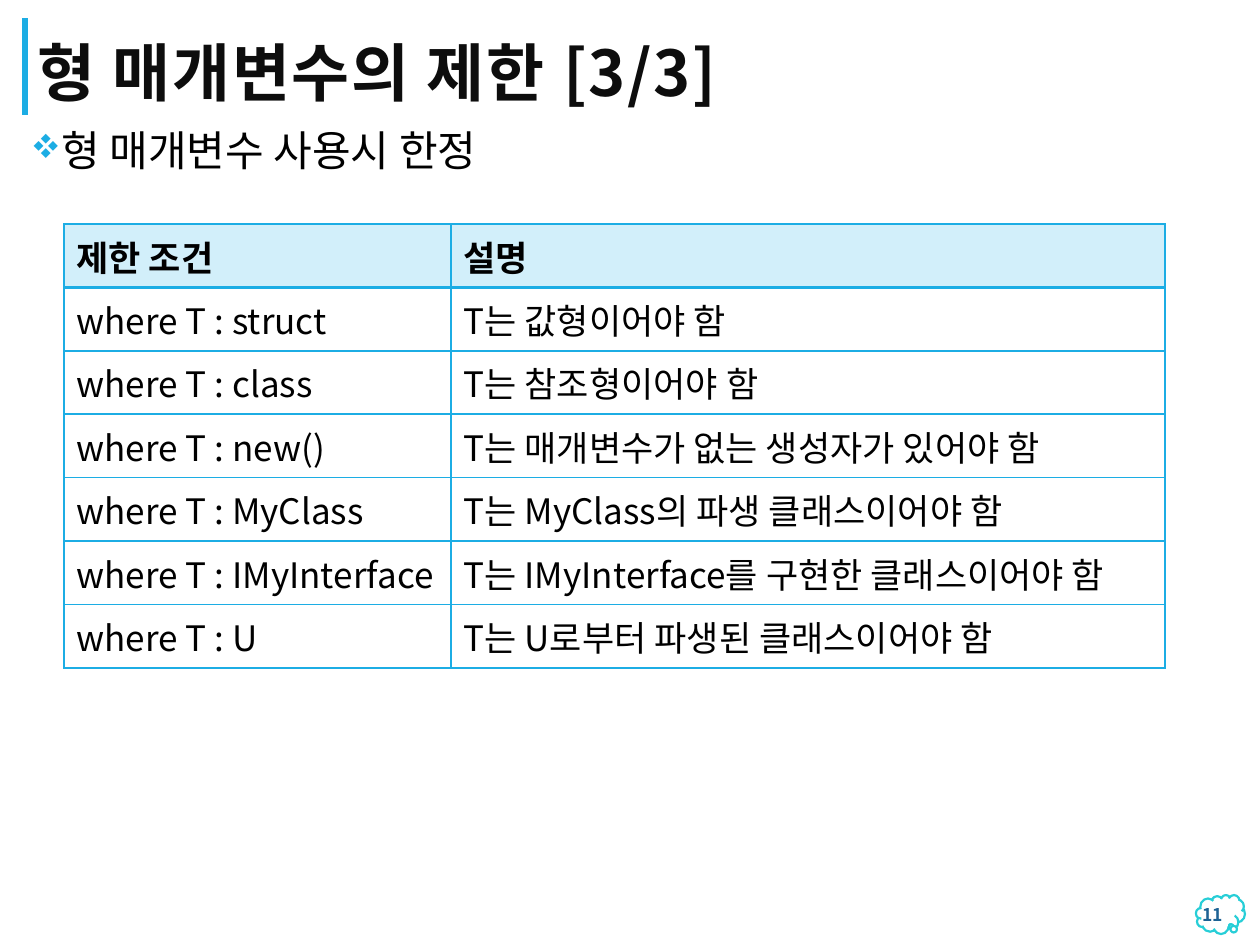
from lxml import etree
from pptx import Presentation
from pptx.dml.color import RGBColor
from pptx.enum.shapes import MSO_CONNECTOR, MSO_SHAPE
from pptx.enum.text import MSO_ANCHOR, PP_ALIGN
from pptx.oxml.ns import qn
from pptx.util import Emu, Pt

STRAIGHT = MSO_CONNECTOR.STRAIGHT
CLOUD = MSO_SHAPE.CLOUD_CALLOUT
TOP, MIDDLE, BOTTOM = MSO_ANCHOR.TOP, MSO_ANCHOR.MIDDLE, MSO_ANCHOR.BOTTOM
RIGHT = PP_ALIGN.RIGHT

FONT = "Noto Sans CJK KR"
BULLET_FONT = "Wingdings"
BLACK = RGBColor(0x00, 0x00, 0x00)
WHITE = RGBColor(0xFF, 0xFF, 0xFF)
TITLE_COLOR = RGBColor(0x0D, 0x0D, 0x0D)
ACCENT = RGBColor(0x1C, 0xAD, 0xE4)
HEADER_FILL = RGBColor(0xD2, 0xEF, 0xFA)
CLOUD_COLOR = RGBColor(0x27, 0xCE, 0xD7)
NUMBER_COLOR = RGBColor(0x1D, 0x62, 0x94)

ROWS = [
    ("제한 조건", "설명"),
    ("where T : struct", "T는 값형이어야 함"),
    ("where T : class", "T는 참조형이어야 함"),
    ("where T : new()", "T는 매개변수가 없는 생성자가 있어야 함"),
    ("where T : MyClass", "T는 MyClass의 파생 클래스이어야 함"),
    ("where T : IMyInterface", "T는 IMyInterface를 구현한 클래스이어야 함"),
    ("where T : U", "T는 U로부터 파생된 클래스이어야 함"),
]
COLUMN_WIDTHS = (387, 714)
TABLE_HEIGHT = 444


def px(value):
    return Emu(round(value * 914400 / 126))


def add_run(paragraph, text, size, color, bold=False):
    run = paragraph.add_run()
    run.text = text
    font = run.font
    font.name, font.size, font.bold = FONT, Pt(size), bold
    font.color.rgb = color
    return run


def add_text_box(slide, left, top, width, height, anchor):
    box = slide.shapes.add_textbox(px(left), px(top), px(width), px(height))
    frame = box.text_frame
    frame.word_wrap = True
    frame.vertical_anchor = anchor
    return frame


def add_title(slide):
    paragraph = add_text_box(slide, 25, 18, 1004, 97, BOTTOM).paragraphs[0]
    paragraph.line_spacing = 0.8
    run = add_run(paragraph, "형 매개변수의 제한 [3/3]", 36, TITLE_COLOR, True)
    run._r.get_or_add_rPr().set("spc", "100")


def add_bullet(paragraph, character, color):
    properties = paragraph._p.get_or_add_pPr()
    properties.set("marL", str(px(25)))
    properties.set("indent", str(px(-48)))
    bullet_color = etree.SubElement(properties, qn("a:buClr"))
    etree.SubElement(bullet_color, qn("a:srgbClr"), val=str(color))
    etree.SubElement(properties, qn("a:buSzPct"), val="80000")
    etree.SubElement(
        properties, qn("a:buFont"), typeface=BULLET_FONT, pitchFamily="2", charset="2"
    )
    etree.SubElement(properties, qn("a:buChar"), char=character)


def add_body(slide):
    frame = add_text_box(slide, 25, 124, 1211, 774, TOP)
    frame.margin_left = frame.margin_right = px(6)
    frame.margin_top = frame.margin_bottom = px(6)
    paragraph = frame.paragraphs[0]
    add_bullet(paragraph, "v", ACCENT)
    paragraph.line_spacing = 0.9
    paragraph.space_after = Pt(2)
    add_run(paragraph, "형 매개변수 사용시 한정", 24, BLACK)


def set_border(cell, side, color, width):
    properties = cell._tc.get_or_add_tcPr()
    line = etree.SubElement(properties, qn(f"a:ln{side}"), w=str(Pt(width)))
    fill = etree.SubElement(line, qn("a:solidFill"))
    etree.SubElement(fill, qn("a:srgbClr"), val=str(color))


def fill_cell(cell, text, row_index):
    is_header = row_index == 0
    widths = {
        "L": 1,
        "R": 1,
        "T": 2 if row_index == 1 else 1,
        "B": 2 if is_header else 1,
    }
    for side, width in widths.items():
        set_border(cell, side, ACCENT, width)
    cell.fill.solid()
    cell.fill.fore_color.rgb = HEADER_FILL if is_header else WHITE
    add_run(cell.text_frame.paragraphs[0], text, 20, BLACK, is_header)


def add_constraint_table(slide):
    frame = slide.shapes.add_table(
        len(ROWS), len(COLUMN_WIDTHS), px(64), px(224),
        px(sum(COLUMN_WIDTHS)), px(TABLE_HEIGHT),
    )
    table = frame.table
    table.horz_banding = False
    for column, width in zip(table.columns, COLUMN_WIDTHS):
        column.width = px(width)
    for row_index, texts in enumerate(ROWS):
        table.rows[row_index].height = px(TABLE_HEIGHT / len(ROWS))
        for column_index, text in enumerate(texts):
            fill_cell(table.cell(row_index, column_index), text, row_index)


def add_title_bar(slide):
    bar = slide.shapes.add_connector(STRAIGHT, px(25), px(115), px(25), px(18))
    bar.line.color.rgb = ACCENT
    bar.line.width = Pt(3)
    etree.SubElement(bar._element.spPr, qn("a:effectLst"))


def add_page_number(slide):
    cloud = slide.shapes.add_shape(CLOUD, px(1196), px(895), px(49), px(39))
    cloud.shadow.inherit = False
    cloud.adjustments[0] = 0.2
    cloud.adjustments[1] = 0.28
    cloud.fill.solid()
    cloud.fill.fore_color.rgb = WHITE
    cloud.line.color.rgb = CLOUD_COLOR
    cloud.line.width = Pt(1.25)
    paragraph = add_text_box(slide, 1155, 893, 80, 43, MIDDLE).paragraphs[0]
    paragraph.alignment = RIGHT
    add_run(paragraph, "11", 10, NUMBER_COLOR, True)


def main():
    presentation = Presentation()
    presentation.slide_width = px(1260)
    presentation.slide_height = px(945)
    slide = presentation.slides.add_slide(presentation.slide_layouts[6])
    add_title_bar(slide)
    add_body(slide)
    add_title(slide)
    add_constraint_table(slide)
    add_page_number(slide)
    presentation.save("out.pptx")


if __name__ == "__main__":
    main()
